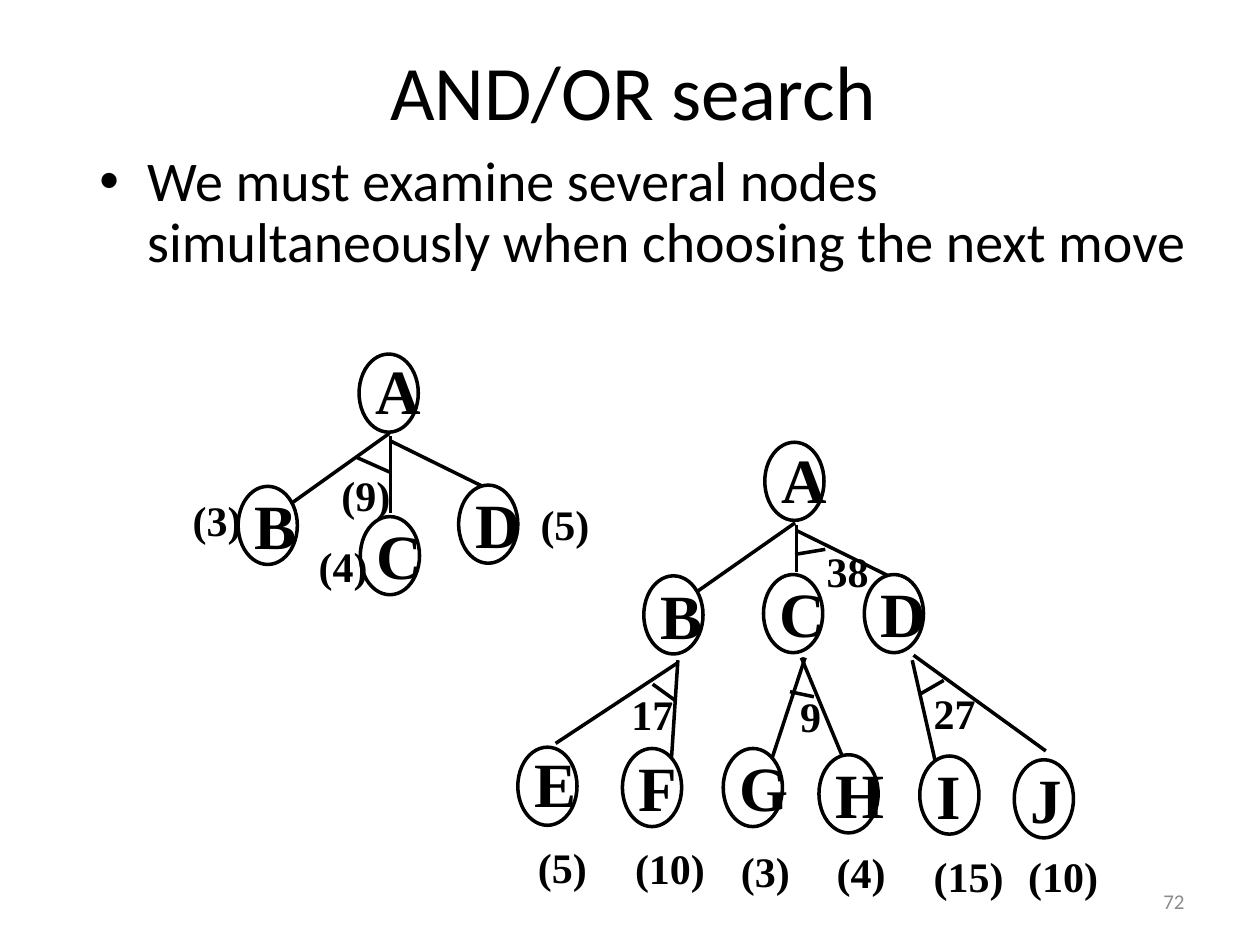
from lxml.etree import SubElement
from pptx import Presentation
from pptx.dml.color import RGBColor
from pptx.enum.shapes import MSO_CONNECTOR, MSO_SHAPE
from pptx.enum.text import MSO_ANCHOR, MSO_AUTO_SIZE, PP_ALIGN
from pptx.oxml.ns import qn
from pptx.util import Inches, Pt

COLOURS = {"ink": "000000", "number": "8C8C8C"}
HEADING = {"name": "Calibri", "size": Pt(44)}
BODY = {"name": "Calibri", "size": Pt(32)}
FOOTER = {"name": "Calibri", "size": Pt(12)}
LETTER = {"name": "Times New Roman", "size": Pt(36), "bold": True}
COST = {"name": "Times New Roman", "size": Pt(24), "bold": True}

NODE_WIDTH, NODE_HEIGHT = 0.47, 0.62
LETTER_WIDTHS = {"B": 0.48, "E": 0.48, "F": 0.45, "G": 0.53, "H": 0.53, "I": 0.34, "J": 0.39}
COST_WIDTHS = {1: 0.31, 2: 0.48, 3: 0.53, 4: 0.7}  # by number of characters

# Each node: letter, left, top
NODES = [
    ("A", 2.85, 2.81), ("B", 1.89, 3.86), ("C", 2.86, 4.1), ("D", 3.64, 3.85),
    ("A", 6.07, 3.51), ("B", 5.11, 4.57), ("C", 6.06, 4.56), ("D", 6.86, 4.56),
    ("E", 4.11, 5.93), ("F", 4.94, 5.94), ("G", 5.74, 5.94),
    ("H", 6.5, 5.99), ("I", 7.3, 6), ("J", 8.05, 6.03),
]
# Branches and the short bars that join AND branches: x1, y1, x2, y2
LINES = [
    (3.1, 3.46, 3.1, 4.07), (3.09, 3.44, 2.32, 3.99), (3.1, 3.5, 3.83, 3.86),
    (2.83, 3.63, 3.1, 3.75),
    (6.32, 4.17, 6.32, 4.54), (6.31, 4.15, 5.54, 4.69), (6.32, 4.21, 7.05, 4.57),
    (6.31, 4.4, 6.55, 4.36),
    (5.38, 5.26, 4.41, 5.9), (5.38, 5.24, 5.33, 6.01), (5.18, 5.43, 5.36, 5.56),
    (6.39, 5.22, 6.13, 6.01), (6.36, 5.22, 6.68, 5.99), (6.27, 5.49, 6.46, 5.53),
    (7.24, 5.24, 7.42, 6.03), (7.25, 5.2, 8.3, 5.96), (7.3, 5.51, 7.49, 5.4),
]
# Each cost: wording, left, top
COSTS = [
    ("(3)", 1.46, 3.96), ("(4)", 2.46, 4.32), ("(5)", 4.22, 3.99), ("(9)", 2.64, 3.76),
    ("38", 6.49, 4.36), ("17", 4.94, 5.5), ("9", 6.28, 5.51), ("27", 7.34, 5.49),
    ("(5)", 4.2, 6.71), ("(10)", 4.97, 6.72), ("(3)", 5.81, 6.74),
    ("(4)", 6.57, 6.75), ("(15)", 7.34, 6.78), ("(10)", 8.09, 6.78),
]

deck = Presentation()
deck.slide_width, deck.slide_height = Inches(10), Inches(7.5)
page = deck.slides.add_slide(deck.slide_layouts[6])


def add_text(wording, left, top, width, height, font, colour="ink", bullet=False):
    box = page.shapes.add_textbox(Inches(left), Inches(top), Inches(width), Inches(height))
    box.text_frame.word_wrap = True
    para = box.text_frame.paragraphs[0]
    if bullet:
        properties = para._p.get_or_add_pPr()
        properties.set("marL", str(Inches(0.38)))
        properties.set("indent", str(Inches(-0.38)))
        SubElement(properties, qn("a:buFont"), typeface="Arial")
        SubElement(properties, qn("a:buChar"), char="•")
    span = para.add_run()
    span.text = wording
    for key, value in font.items():
        setattr(span.font, key, value)
    span.font.color.rgb = RGBColor.from_string(COLOURS[colour])
    return box.text_frame


def add_label(wording, left, top, width, height, font, spacing):
    """Add a tight, unwrapped text for a node letter or a cost."""
    frame = add_text(wording, left, top, width, height, font)
    frame.word_wrap = False
    frame.auto_size = MSO_AUTO_SIZE.SHAPE_TO_FIT_TEXT
    frame.margin_left = frame.margin_right = Inches(0.07)
    frame.margin_top = frame.margin_bottom = Inches(0.03)
    frame.paragraphs[0].line_spacing = spacing


title = add_text("AND/OR search ", 1.75, 0.25, 6.69, 0.92, HEADING)
title.vertical_anchor = MSO_ANCHOR.MIDDLE
title.paragraphs[0].alignment = PP_ALIGN.CENTER

body = add_text("We must examine several nodes simultaneously when choosing the next move",
                0.69, 1.17, 8.88, 1.56, BODY, bullet=True)
body.paragraphs[0].line_spacing = 0.9

for x1, y1, x2, y2 in LINES:
    line = page.shapes.add_connector(
        MSO_CONNECTOR.STRAIGHT, Inches(x1), Inches(y1), Inches(x2), Inches(y2))
    line.line.color.rgb = RGBColor.from_string(COLOURS["ink"])
    line.line.width = Pt(2)
    SubElement(line._element.spPr, qn("a:effectLst"))

for letter, left, top in NODES:
    node = page.shapes.add_shape(MSO_SHAPE.OVAL, Inches(left), Inches(top),
                                 Inches(NODE_WIDTH), Inches(NODE_HEIGHT))
    node.shadow.inherit = False
    node.fill.background()
    node.line.color.rgb = RGBColor.from_string(COLOURS["ink"])
    node.line.width = Pt(2)
    drop = 0.03 if letter in "AE" else 0.05
    add_label(letter, left + 0.06, top + drop, LETTER_WIDTHS.get(letter, 0.51), 0.59,
              LETTER, 0.88)

for wording, left, top in COSTS:
    add_label(wording, left, top, COST_WIDTHS[len(wording)], 0.4, COST, 0.85)

number = add_text("72", 7.17, 6.95, 2.33, 0.4, FOOTER, "number")
number.vertical_anchor = MSO_ANCHOR.MIDDLE
number.paragraphs[0].alignment = PP_ALIGN.RIGHT

deck.save("out.pptx")
